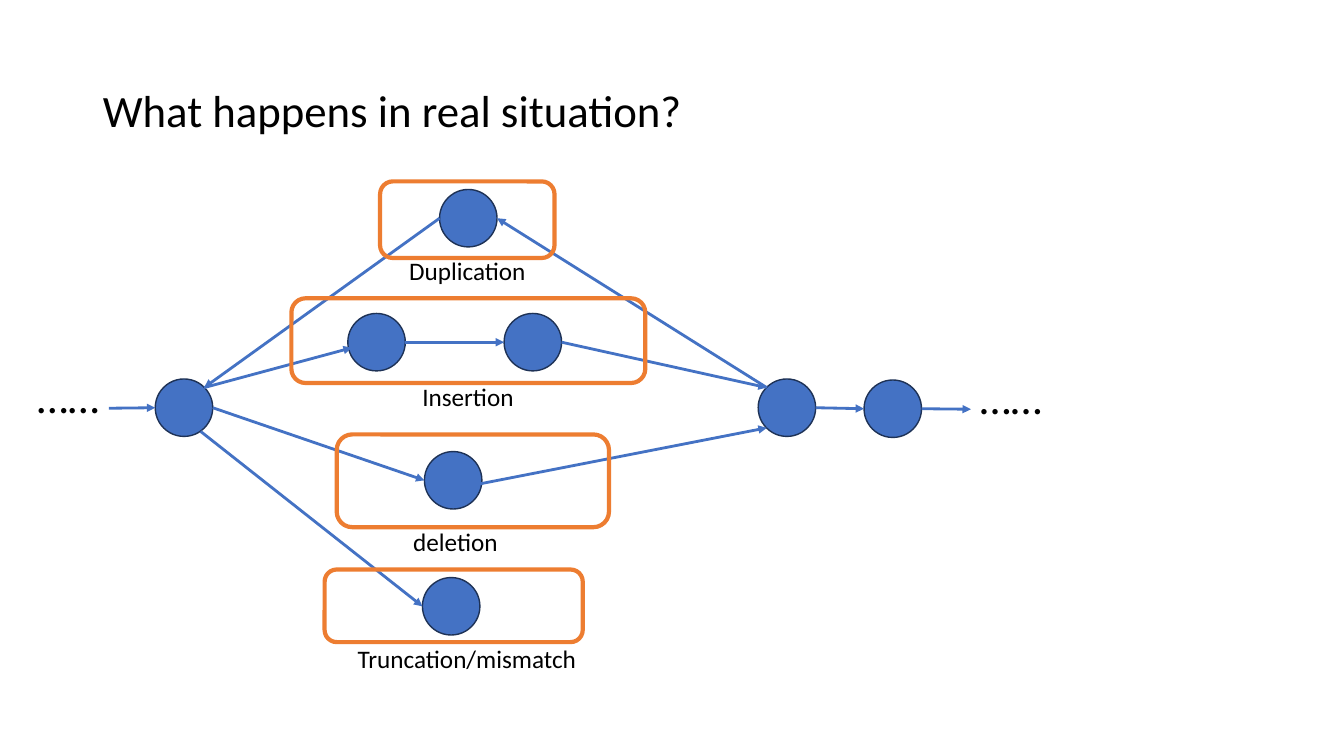
from lxml import etree
from pptx import Presentation
from pptx.dml.color import RGBColor
from pptx.enum.shapes import MSO_CONNECTOR, MSO_SHAPE
from pptx.enum.text import MSO_ANCHOR, MSO_AUTO_SIZE, PP_ALIGN
from pptx.oxml.ns import qn
from pptx.util import Inches, Pt

TITLE = "What happens in real situation?"
FONT = "Calibri"
COLORS = {"node": "4472C4", "edge": "1E3256", "frame": "ED7D31", "text": "000000"}

NODE_SIZE = 0.57
NODES = {
    "start": (1.54, 3.76),
    "insert_first": (3.45, 3.11),
    "insert_second": (5.00, 3.11),
    "end": (7.52, 3.76),
    "next": (8.57, 3.77),
    "deletion": (4.21, 4.48),
    "truncation": (4.19, 5.73),
    "duplication": (4.36, 1.88),
}
SITES = {
    "left": (0, 0.5),
    "right": (1, 0.5),
    "top_left": (0.15, 0.15),
    "top_right": (0.85, 0.15),
    "bottom_left": (0.15, 0.85),
}
ARROWS = [
    ((1.08, 4.05), ("start", "left")),
    (("start", "top_right"), (3.49, 3.45)),
    (("insert_first", "right"), ("insert_second", "left")),
    (("insert_second", "right"), ("end", "top_left")),
    (("start", "right"), ("deletion", "left")),
    ((4.76, 4.80), ("end", "bottom_left")),
    ((1.99, 4.28), ("truncation", "left")),
    (("duplication", "left"), ("start", "top_right")),
    (("end", "top_left"), ("duplication", "right")),
    (("end", "right"), ("next", "left")),
    (("next", "right"), (9.63, 4.06)),
]
FRAMES = [
    (3.77, 1.80, 1.73, 0.76),
    (2.89, 2.96, 3.51, 0.84),
    (3.34, 4.31, 2.70, 0.92),
    (3.22, 5.65, 2.56, 0.72),
]
LABELS = [
    ("Duplication", 18, (3.96, 2.48, 2.56, 0.4)),
    ("Insertion", 18, (4.09, 3.73, 2.56, 0.4)),
    ("deletion", 18, (4.00, 5.17, 2.56, 0.4)),
    ("Truncation/mismatch", 18, (3.45, 6.33, 2.56, 0.4)),
    ("……", 32, (0.27, 3.61, 0.96, 0.64)),
    ("……", 32, (9.62, 3.62, 0.96, 0.64)),
]


def color(name):
    return RGBColor.from_string(COLORS[name])


def write(frame, text, size):
    frame.text = text
    frame.word_wrap = True
    para = frame.paragraphs[0]
    para.alignment = PP_ALIGN.LEFT
    font = para.runs[0].font
    font.name, font.size = FONT, Pt(size)
    font.color.rgb = color("text")
    return para


def add_outline(slide, kind, area, line_color, width):
    shape = slide.shapes.add_shape(kind, *map(Inches, area))
    shape.shadow.inherit = False
    shape.line.color.rgb = color(line_color)
    shape.line.width = Pt(width)
    return shape


def locate(end):
    if end[0] not in NODES:
        return end
    name, site = end
    return [corner + NODE_SIZE * part for corner, part in zip(NODES[name], SITES[site])]


def add_arrow(slide, begin, finish):
    points = map(Inches, (*locate(begin), *locate(finish)))
    arrow = slide.shapes.add_connector(MSO_CONNECTOR.STRAIGHT, *points)
    arrow.line.color.rgb = color("node")
    arrow.line.width = Pt(2)
    etree.SubElement(arrow.line._get_or_add_ln(), qn("a:tailEnd"), type="triangle")
    etree.SubElement(arrow._element.spPr, qn("a:effectLst"))


def main():
    deck = Presentation()
    deck.slide_width, deck.slide_height = Inches(13.33), Inches(7.5)
    slide = deck.slides.add_slide(deck.slide_layouts[5])

    title = slide.shapes.title
    title.left, title.top = Inches(0.92), Inches(0.4)
    title.width, title.height = Inches(11.5), Inches(1.45)
    para = write(title.text_frame, TITLE, 32)
    para.line_spacing = 0.9
    title.text_frame.auto_size = MSO_AUTO_SIZE.NONE
    title.text_frame.vertical_anchor = MSO_ANCHOR.MIDDLE

    for corner in NODES.values():
        area = (*corner, NODE_SIZE, NODE_SIZE)
        node = add_outline(slide, MSO_SHAPE.OVAL, area, "edge", 1)
        node.fill.solid()
        node.fill.fore_color.rgb = color("node")
    for begin, finish in ARROWS:
        add_arrow(slide, begin, finish)
    for area in FRAMES:
        frame = add_outline(slide, MSO_SHAPE.ROUNDED_RECTANGLE, area, "frame", 3)
        frame.fill.background()
    for text, size, area in LABELS:
        box = slide.shapes.add_textbox(*map(Inches, area))
        write(box.text_frame, text, size)
        box.text_frame.auto_size = MSO_AUTO_SIZE.SHAPE_TO_FIT_TEXT

    deck.save("out.pptx")


if __name__ == "__main__":
    main()
